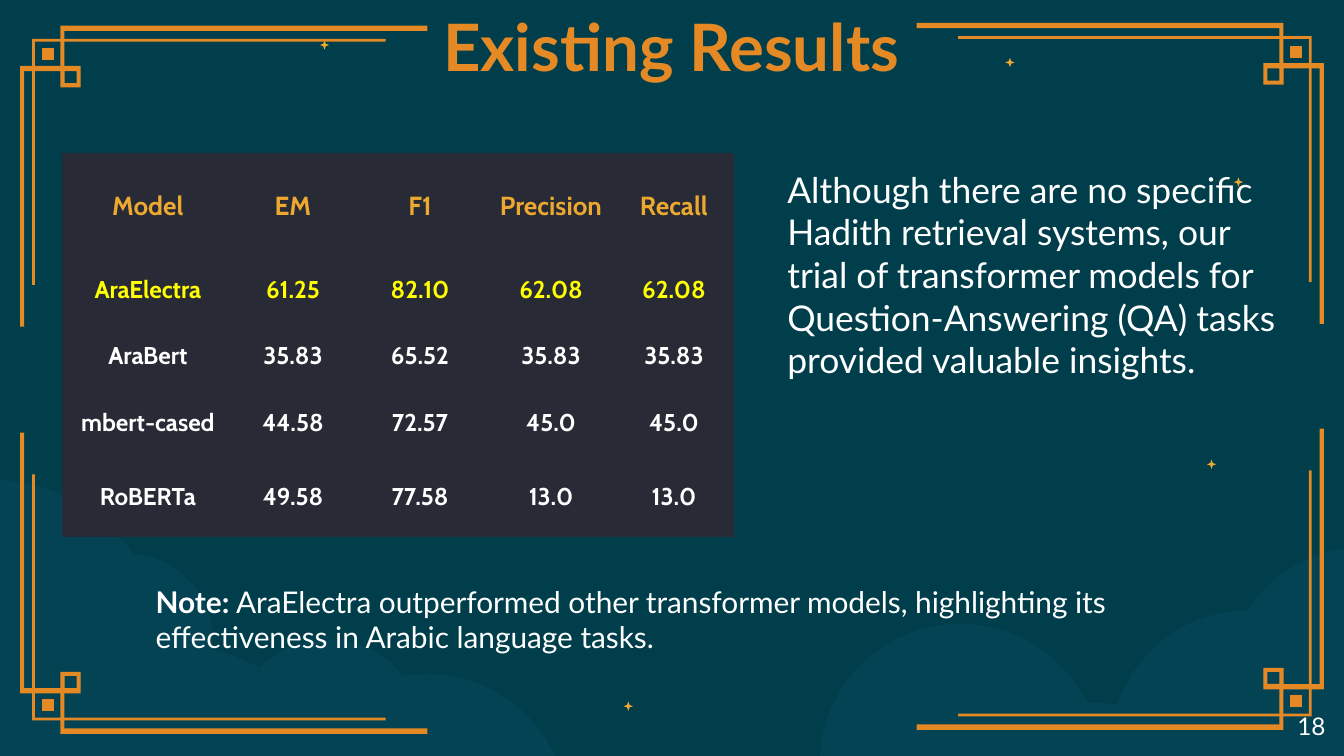
from pptx import Presentation
from pptx.dml.color import RGBColor
from pptx.enum.shapes import MSO_SHAPE as Shape
from pptx.enum.text import MSO_ANCHOR as Anchor, MSO_AUTO_SIZE as AutoSize, PP_ALIGN as Align
from pptx.oxml import parse_xml
from pptx.oxml.ns import nsdecls
from pptx.util import Inches, Pt

COLORS = {"teal": "003E4C", "cloud": "044354", "orange": "E58925", "gold": "EDA82F",
          "panel": "282A36", "yellow": "FFFF00", "white": "FFFFFF"}
PAGE_WIDTH = 10
PAGE_HEIGHT = PAGE_WIDTH * 9 / 16
STAR_SIZE = 0.07
STARS = [(7.48, 0.43), (9.18, 1.32), (2.38, 0.3), (8.98, 3.42), (4.64, 5.22)]
LEFT_CLOUD = [
    [(0, 3.57)],
    [(0.4, 3.59), (0.77, 3.79), (0.99, 4.12)],
    [(1.35, 4.15), (1.61, 4.46), (1.58, 4.83)],
    [(1.7, 4.86), (1.82, 4.91), (1.93, 4.97)],
    [(2.21, 4.69), (2.67, 4.69), (2.95, 4.97)],
    [(3, 5.03)],
    [(3.47, 4.95), (3.94, 5.2), (4.13, PAGE_HEIGHT)],
    [(0, PAGE_HEIGHT)],
]
RIGHT_CLOUD = [
    [(7.14, 4.64)],
    [(7.55, 4.64), (7.91, 4.87), (8.09, 5.23)],
    [(8.16, 5.23), (8.24, 5.23), (8.31, 5.25)],
    [(8.45, 4.83), (8.85, 4.54), (9.29, 4.54)],
    [(9.45, 4.29), (9.71, 4.12), (10, 4.08)],
    [(10, PAGE_HEIGHT)],
    [(6.1, PAGE_HEIGHT)],
    [(6.13, 5.08), (6.59, 4.64), (7.14, 4.64)],
]
CORNER_SIZE = (3.03, 2.24)
CORNERS = [(6.82, 0.17, True, False), (0.15, 0.19, False, False),
           (6.82, 3.19, True, True), (0.15, 3.22, False, True)]
CORNER_PARTS = [
    [[(0.09, 0.1), (0.09, 1.93), (0.11, 1.93), (0.11, 0.12), (2.72, 0.12), (2.72, 0.1)]],
    [[(0.3, 0), (0.3, 0.3), (0, 0.3), (0, 2.24), (0.03, 2.24), (0.03, 0.34),
      (0.33, 0.34), (0.33, 0.04), (3.03, 0.04), (3.03, 0)]],
    [[(0.3, 0.3), (0.3, 0.46), (0.45, 0.46), (0.45, 0.3)],
     [(0.33, 0.34), (0.42, 0.34), (0.42, 0.43), (0.33, 0.43)]],
    [[(0.16, 0.17), (0.16, 0.26), (0.25, 0.26), (0.25, 0.17)]],
]
COLUMN_WIDTHS = [1.26, 0.9, 0.99, 0.96, 0.87]
ROW_HEIGHTS = [0.77, 0.48, 0.49, 0.51, 0.59]
RESULTS = [
    ["Model", "EM", "F1", "Precision", "Recall"],
    ["AraElectra", "61.25", "82.10", "62.08", "62.08"],
    ["AraBert", "35.83", "65.52", "35.83", "35.83"],
    ["mbert-cased", "44.58", "72.57", "45.0", "45.0"],
    ["RoBERTa", "49.58", "77.58", "13.0", "13.0"],
]
ROW_STYLES = [(14, "gold"), (13, "yellow")] + [(13, "white")] * 3


def rgb(name):
    """Return the named colour."""
    return RGBColor.from_string(COLORS[name])


def paint(shape, color):
    """Give a shape a flat fill without line or shadow."""
    shape.fill.solid()
    shape.fill.fore_color.rgb = rgb(color)
    shape.line.fill.background()
    shape.shadow.inherit = False


def add_outline(page, contours, color):
    """Draw one filled freeform from closed contours in inches."""
    scaled = [[(Inches(x), Inches(y)) for x, y in contour] for contour in contours]
    builder = page.shapes.build_freeform(*scaled[0][0])
    for index, contour in enumerate(scaled):
        if index:
            builder.move_to(*contour[0])
        builder.add_line_segments(contour[1:], close=True)
    paint(builder.convert_to_shape(), color)


def add_cloud(page, segments, steps=16):
    """Draw a cloud whose three-point segments are Bezier curves."""
    points = []
    for segment in segments:
        if len(segment) == 1:
            points.append(segment[0])
            continue
        controls = [points[-1]] + segment
        for step in range(1, steps + 1):
            t = step / steps
            weights = [(1 - t) ** 3, 3 * t * (1 - t) ** 2, 3 * t * t * (1 - t), t ** 3]
            points.append(tuple(sum(w * point[axis] for w, point in zip(weights, controls))
                                for axis in (0, 1)))
    add_outline(page, [points], "cloud")


def add_corner(page, left, top, flip_x, flip_y):
    """Draw one ornamental corner, mirrored as asked within its box."""
    width, height = CORNER_SIZE
    for part in CORNER_PARTS:
        contours = [[(left + (width - x if flip_x else x), top + (height - y if flip_y else y))
                     for x, y in contour] for contour in part]
        add_outline(page, contours, "orange")


def add_backdrop(page):
    """Place the background, stars, clouds and corners."""
    page.background.fill.solid()
    page.background.fill.fore_color.rgb = rgb("teal")
    for left, top in STARS:
        star = page.shapes.add_shape(Shape.STAR_4_POINT, Inches(left), Inches(top),
                                     Inches(STAR_SIZE), Inches(STAR_SIZE))
        star.adjustments[0] = 0.19
        paint(star, "gold")
    for cloud in (LEFT_CLOUD, RIGHT_CLOUD):
        add_cloud(page, cloud)
    for corner in CORNERS:
        add_corner(page, *corner)


def style_font(font, name, size, color, bold=False):
    """Set the face, size, colour and weight of a font."""
    font.name, font.size, font.bold = name, Pt(size), bold
    font.color.rgb = rgb(color)


def fill_text(shape, box, parts, size, color="white", align=Align.LEFT, anchor=Anchor.TOP):
    """Place a text shape and write its (text, bold) parts."""
    shape.left, shape.top, shape.width, shape.height = map(Inches, box)
    frame = shape.text_frame
    frame.word_wrap = True
    frame.auto_size = AutoSize.NONE
    frame.vertical_anchor = anchor
    frame.margin_left = frame.margin_right = frame.margin_top = frame.margin_bottom = Inches(0.1)
    para = frame.paragraphs[0]
    para.alignment = align
    for text, bold in parts:
        span = para.add_run()
        span.text = text
        style_font(span.font, "Lato", size, color, bold)


def add_text(page, box, parts, size, **options):
    """Add a text box."""
    fill_text(page.shapes.add_textbox(0, 0, 0, 0), box, parts, size, **options)


def add_borders(cell):
    """Outline a cell in the panel colour."""
    properties = cell._tc.get_or_add_tcPr()
    for index, side in enumerate(("lnL", "lnR", "lnT", "lnB")):
        properties.insert(index, parse_xml(
            f'<a:{side} {nsdecls("a")} w="{Pt(1.5)}"><a:solidFill>'
            f'<a:srgbClr val="{COLORS["panel"]}"/></a:solidFill></a:{side}>'))


def add_results_table(page, left, top):
    """Add the table of model scores."""
    table = page.shapes.add_table(
        len(RESULTS), len(COLUMN_WIDTHS), Inches(left), Inches(top),
        Inches(sum(COLUMN_WIDTHS)), Inches(sum(ROW_HEIGHTS))).table
    for column, width in zip(table.columns, COLUMN_WIDTHS):
        column.width = Inches(width)
    for row, height, values, (size, color) in zip(table.rows, ROW_HEIGHTS, RESULTS, ROW_STYLES):
        row.height = Inches(height)
        for cell, value in zip(row.cells, values):
            cell.text = value
            cell.margin_left = cell.margin_right = Inches(0.07)
            cell.margin_top = cell.margin_bottom = 0
            cell.vertical_anchor = Anchor.MIDDLE
            cell.fill.solid()
            cell.fill.fore_color.rgb = rgb("panel")
            add_borders(cell)
            para = cell.text_frame.paragraphs[0]
            para.alignment = Align.CENTER
            style_font(para.runs[0].font, "Cabin", size, color, True)


def build_results_page(deck):
    """Compose the results slide."""
    page = deck.slides.add_slide(deck.slide_layouts[5])
    add_backdrop(page)
    add_results_table(page, 0.47, 1.15)
    add_text(page, (1.06, 4.24, 7.88, 0.74), [
        ("Note:", True),
        (" AraElectra outperformed other transformer models, highlighting its effectiveness "
         "in Arabic language tasks.", False)], 16)
    fill_text(page.shapes.title, (3.05, 0.12, 3.89, 0.44), [("Existing Results", True)], 35,
              color="orange", align=Align.CENTER, anchor=Anchor.MIDDLE)
    add_text(page, (5.76, 1.15, 3.89, 2.12), [
        ("Although there are no specific Hadith retrieval systems, our trial of transformer "
         "models for Question-Answering (QA) tasks provided valuable insights.", False)], 19)
    add_text(page, (9.36, 5.19, 0.6, 0.43), [("18", False)], 13, align=Align.RIGHT)


def main():
    """Build and save the deck."""
    deck = Presentation()
    deck.slide_width, deck.slide_height = Inches(PAGE_WIDTH), Inches(PAGE_HEIGHT)
    build_results_page(deck)
    deck.save("out.pptx")


if __name__ == "__main__":
    main()
